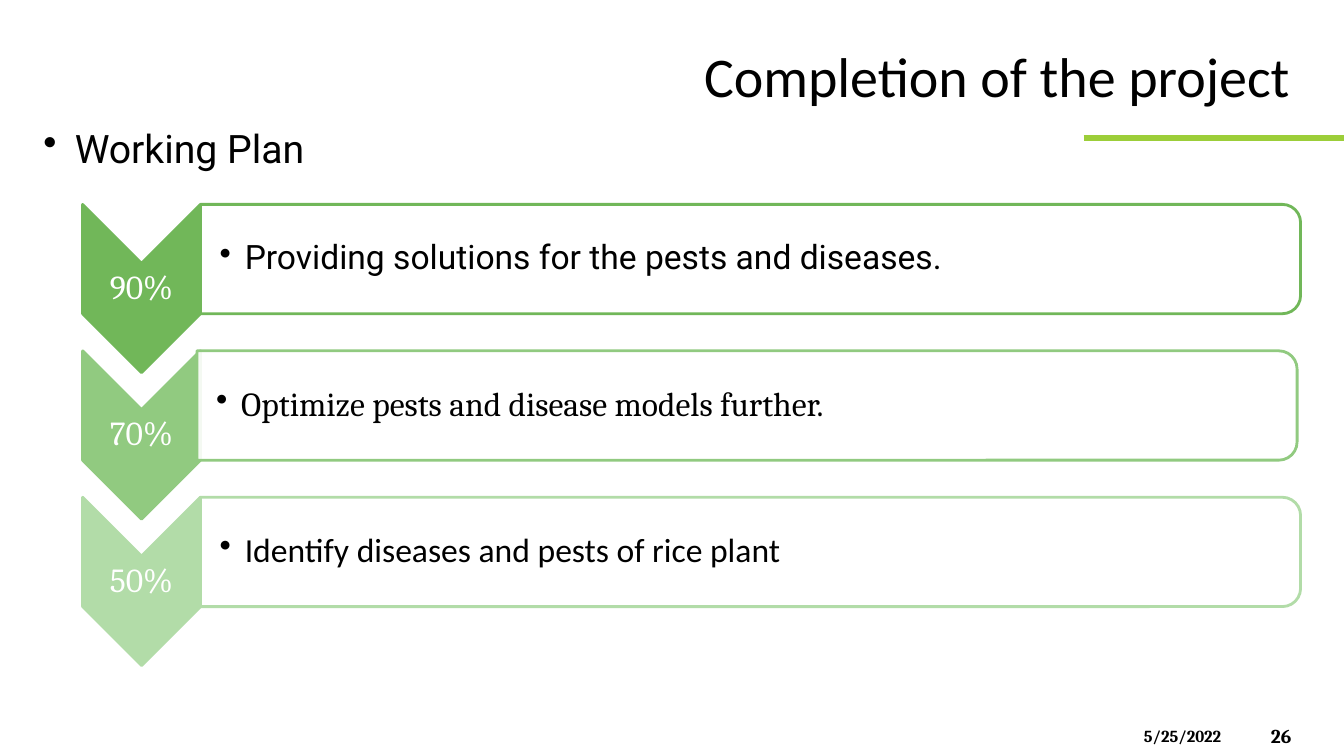
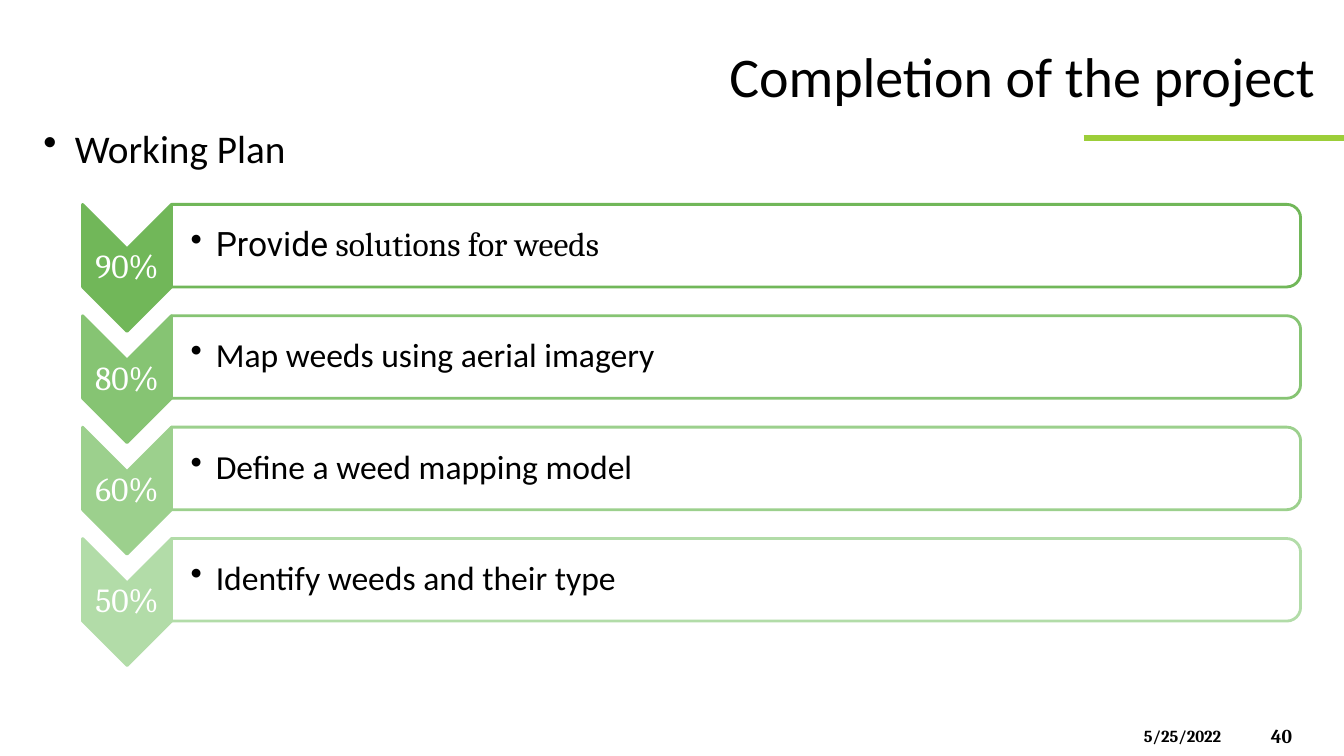
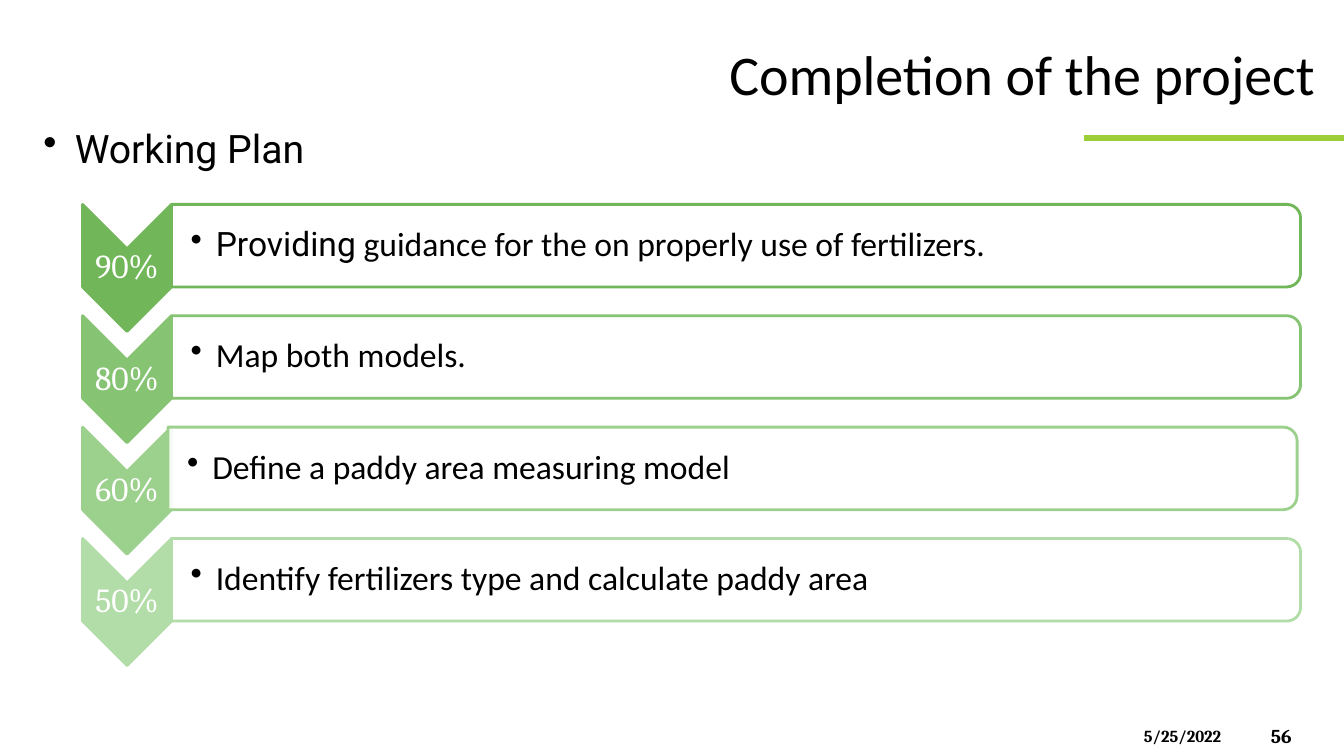
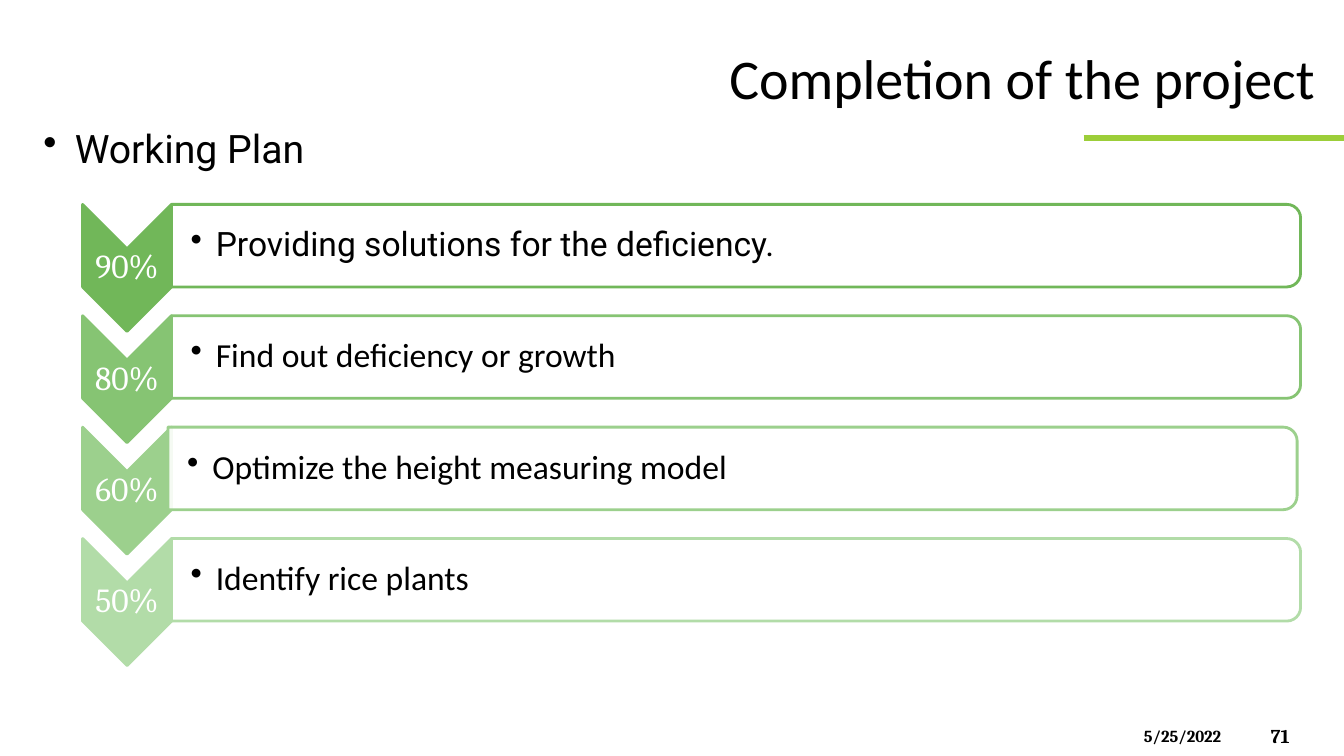
from dataclasses import dataclass

from lxml.etree import SubElement
from pptx import Presentation
from pptx.dml.color import RGBColor
from pptx.enum.shapes import MSO_CONNECTOR, MSO_SHAPE
from pptx.enum.text import MSO_ANCHOR, PP_ALIGN
from pptx.oxml.ns import qn
from pptx.util import Pt


@dataclass(frozen=True)
class Theme:
    ink: str = "000000"
    paper: str = "FFFFFF"
    accent: str = "9CCE39"
    greens = {"90%": "71B759", "80%": "86C473", "70%": "91CA80", "60%": "9CD08D", "50%": "B2DCA8"}
    sans: str = "Calibri"
    serif: str = "Cambria"
    modern: str = "Roboto"
    title_size: float = 40
    heading_size: float = 28
    body_size: float = 24
    number_size: float = 14
    date_size: float = 12


THEME = Theme()
SLIDE_WIDTH, SLIDE_HEIGHT = 960, 540
TITLE_WIDTH, TITLE_HEIGHT = 460, 62.6
PLAN_LEFT, PLAN_TOP, PLAN_RIGHT, PLAN_HEIGHT = 59, 146, 929, 329.4
ARROW_HEIGHTS = {3: 120.2, 4: 90.7}
NUDGE = 2.5


def write(frame, runs, *, size, color=THEME.ink, bold=False, align=PP_ALIGN.LEFT,
          anchor=MSO_ANCHOR.TOP, insets=(7.2, 3.6, 7.2, 3.6), hang=0, spacing=None):
    frame.word_wrap = True
    frame.vertical_anchor = anchor
    frame.margin_left, frame.margin_top, frame.margin_right, frame.margin_bottom = map(Pt, insets)
    paragraph = frame.paragraphs[0]
    paragraph.alignment = align
    if spacing:
        paragraph.line_spacing = spacing
    if hang:
        properties = paragraph._p.get_or_add_pPr()
        properties.set("marL", str(Pt(hang)))
        properties.set("indent", str(-Pt(hang)))
        SubElement(properties, qn("a:buChar"), char="•")
    for words, font in runs:
        run = paragraph.add_run()
        run.text = words
        run.font.name = font
        run.font.size = Pt(size)
        run.font.bold = bold
        run.font.color.rgb = RGBColor.from_string(color)


class Deck:
    def __init__(self, theme):
        self.theme = theme
        self.presentation = Presentation()
        self.presentation.slide_width = Pt(SLIDE_WIDTH)
        self.presentation.slide_height = Pt(SLIDE_HEIGHT)
        self.slide = None

    def start(self, title_center, title_top, number):
        self.slide = self.presentation.slides.add_slide(self.presentation.slide_layouts[5])
        self.title(title_center, title_top)
        self.rule()
        self.footer(number)

    def text(self, left, top, width, height, runs, **style):
        box = self.slide.shapes.add_textbox(Pt(left), Pt(top), Pt(width), Pt(height))
        write(box.text_frame, runs, **style)

    def title(self, center, top):
        title = self.slide.shapes.title
        title.left, title.top = Pt(center - TITLE_WIDTH / 2), Pt(top)
        title.width, title.height = Pt(TITLE_WIDTH), Pt(TITLE_HEIGHT)
        write(title.text_frame, [("Completion of the project", self.theme.sans)],
              size=self.theme.title_size, align=PP_ALIGN.CENTER, anchor=MSO_ANCHOR.MIDDLE)

    def rule(self):
        rule = self.slide.shapes.add_connector(
            MSO_CONNECTOR.STRAIGHT, Pt(774), Pt(98.5), Pt(SLIDE_WIDTH), Pt(98.5))
        rule.line.color.rgb = RGBColor.from_string(self.theme.accent)
        rule.line.width = Pt(4.5)
        SubElement(rule._element.spPr, qn("a:effectLst"))

    def footer(self, number):
        self.text(900.7, 511.2, 53.3, 28.8, [(number, self.theme.serif)],
                  size=self.theme.number_size, bold=True, anchor=MSO_ANCHOR.MIDDLE)
        self.text(810, 514.8, 84.2, 21.6, [("5/25/2022", self.theme.serif)],
                  size=self.theme.date_size, bold=True)

    def heading(self, font):
        self.text(23.8, 85, 288.7, 41, [("Working Plan", font)],
                  size=self.theme.heading_size, hang=22.5)

    def turned(self, preset, left, top, width, height, fill, line):
        shape = self.slide.shapes.add_shape(
            preset, Pt(left + (width - height) / 2), Pt(top + (height - width) / 2),
            Pt(height), Pt(width))
        shape.rotation = 90
        shape.shadow.inherit = False
        shape.fill.solid()
        shape.fill.fore_color.rgb = RGBColor.from_string(fill)
        shape.line.color.rgb = RGBColor.from_string(line)
        shape.line.width = Pt(2)
        return shape

    def arrow(self, top, width, height, percent):
        green = self.theme.greens[percent]
        self.turned(MSO_SHAPE.CHEVRON, PLAN_LEFT, top, width, height, green, green)
        self.text(PLAN_LEFT, top + 0.35 * height, width, 0.3 * height,
                  [(percent, self.theme.serif)], size=self.theme.body_size,
                  color=self.theme.paper, align=PP_ALIGN.CENTER, anchor=MSO_ANCHOR.MIDDLE,
                  insets=(1.2,) * 4, spacing=0.9)

    def band(self, left, top, width, height, percent, runs):
        band = self.turned(MSO_SHAPE.ROUND_2_SAME_RECTANGLE, left, top, width, height,
                           self.theme.paper, self.theme.greens[percent])
        tint = band._element.spPr.find(qn("a:solidFill"))[0]
        SubElement(tint, qn("a:alpha"), val="90000")
        self.text(left, top, width, height, runs, size=self.theme.body_size,
                  anchor=MSO_ANCHOR.MIDDLE, insets=(13.7, 1.2, 1.2, 1.2), hang=18, spacing=0.9)

    def plan(self, steps, nudged_step):
        arrow_height = ARROW_HEIGHTS[len(steps)]
        arrow_width = 0.7 * arrow_height
        pitch = (PLAN_HEIGHT - arrow_height) / (len(steps) - 1)
        band_left = PLAN_LEFT + arrow_width
        for index, (percent, runs) in enumerate(steps):
            top = PLAN_TOP + index * pitch
            shift = NUDGE if index == nudged_step else 0
            self.arrow(top, arrow_width, arrow_height, percent)
            self.band(band_left - shift, top, PLAN_RIGHT - band_left, 0.65 * arrow_height,
                      percent, runs)


SANS, SERIF, MODERN = THEME.sans, THEME.serif, THEME.modern

PLANS = [
    (712, 22.3, "26", MODERN, 1, [
        ("90%", [("Providing solutions for the pests and diseases.", MODERN)]),
        ("70%", [("Optimize pests and disease models further.", SERIF)]),
        ("50%", [("Identify diseases and pests of rice plant", SANS)]),
    ]),
    (730, 22.3, "40", SANS, None, [
        ("90%", [("Provide", MODERN), (" solutions for weeds", SERIF)]),
        ("80%", [("Map weeds using aerial imagery", SANS)]),
        ("60%", [("Define a weed mapping model", SANS)]),
        ("50%", [("Identify weeds and their type", SANS)]),
    ]),
    (730, 20.9, "56", MODERN, 2, [
        ("90%", [("Providing", MODERN),
                 (" guidance for the on properly use of fertilizers.", SANS)]),
        ("80%", [("Map both models.", SANS)]),
        ("60%", [("Define a paddy area measuring model", SANS)]),
        ("50%", [("Identify fertilizers type and calculate paddy area", SANS)]),
    ]),
    (730, 23.8, "71", MODERN, 2, [
        ("90%", [("Providing solutions for the deficiency.", MODERN)]),
        ("80%", [("Find out deficiency or growth", SANS)]),
        ("60%", [("Optimize the height measuring model", SANS)]),
        ("50%", [("Identify rice plants", SANS)]),
    ]),
]


def main():
    deck = Deck(THEME)
    for title_center, title_top, number, heading_font, nudged_step, steps in PLANS:
        deck.start(title_center, title_top, number)
        deck.plan(steps, nudged_step)
        deck.heading(heading_font)
    deck.presentation.save("out.pptx")


if __name__ == "__main__":
    main()
